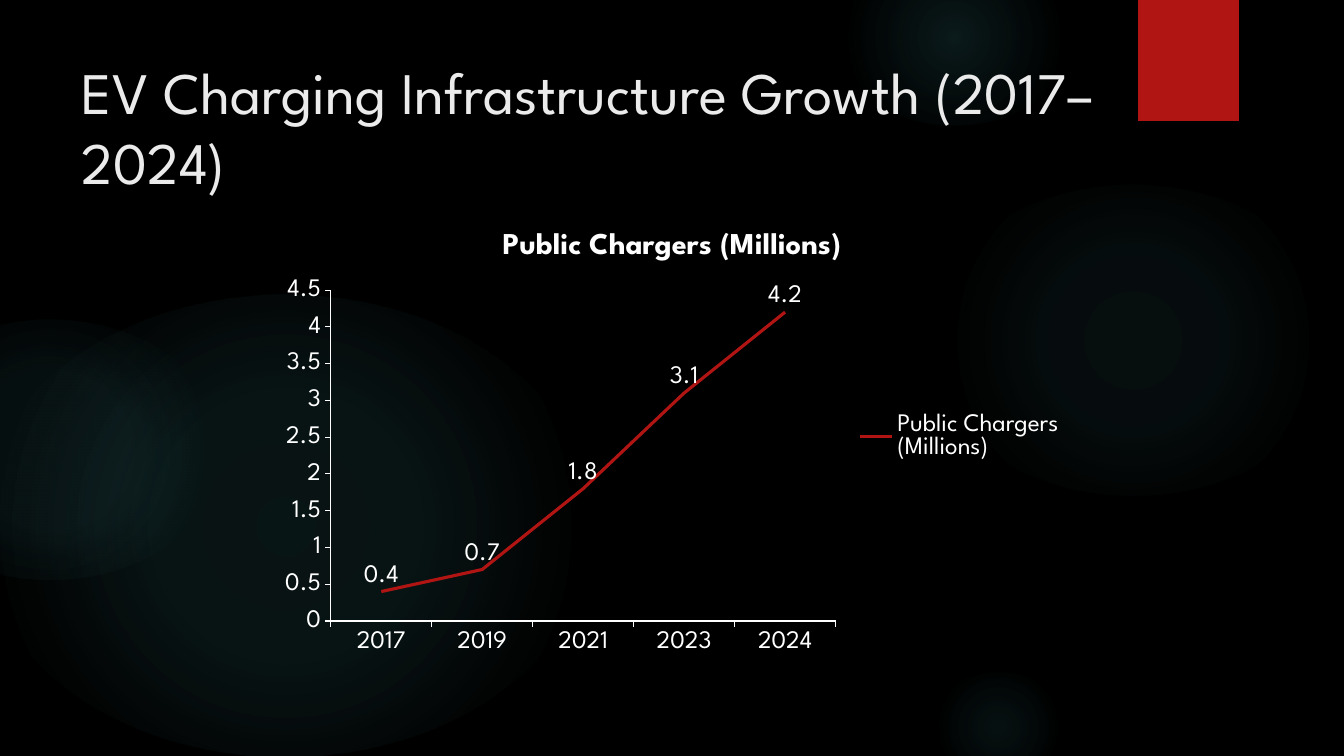
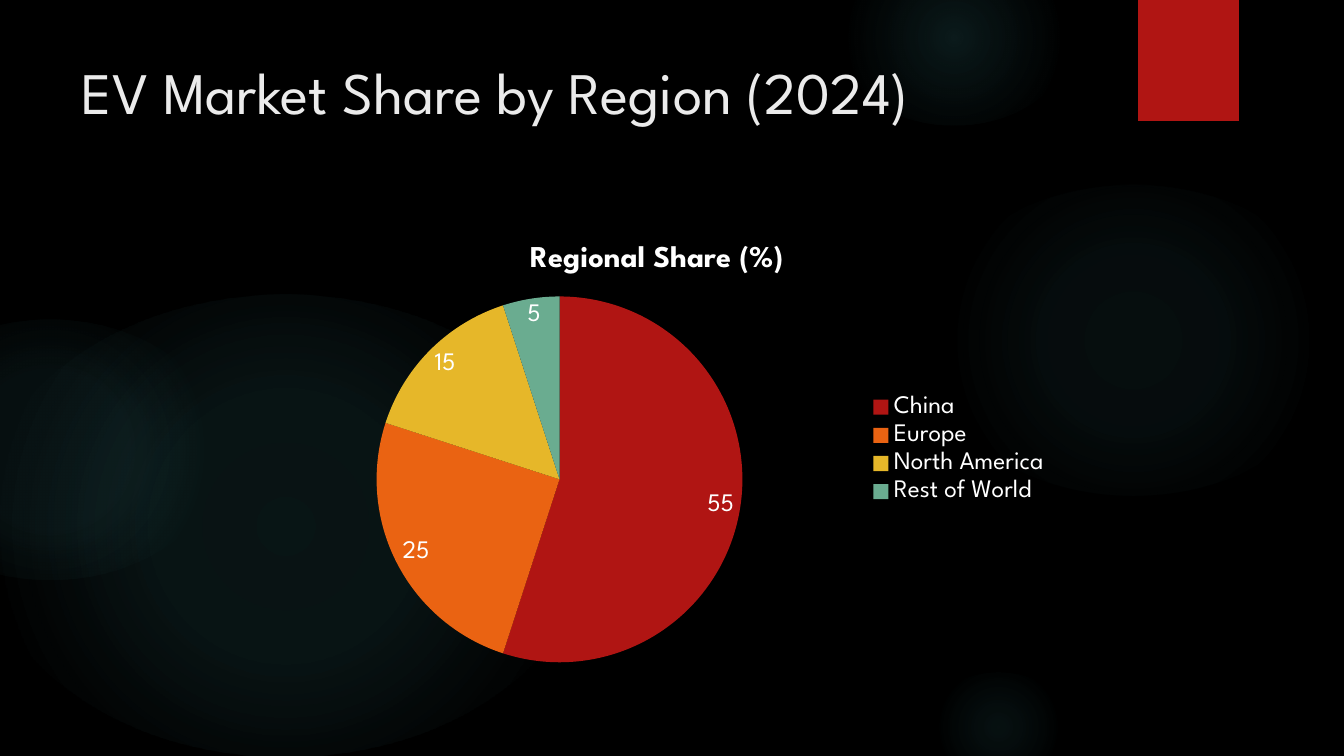
import dataclasses

import pptx
import pptx.chart.data
import pptx.dml.color
import pptx.enum.chart
import pptx.enum.shapes
import pptx.enum.text
import pptx.oxml
import pptx.oxml.ns
import pptx.util
from pptx.util import Cm, Pt


@dataclasses.dataclass(frozen=True)
class Theme:
    font: str = "League Spartan"
    background: str = "000000"
    glow: str = "50B9C1"
    title: str = "EBEBEB"
    text: str = "FFFFFF"
    accents: tuple = ("B01513", "EA6312", "E6B729", "6AAC90")
    title_size: float = 42
    chart_title_size: float = 21.6
    chart_size: float = 18
    series_width: float = 2.25
    axis_width: float = 0.75


THEME = Theme()

# Boxes are left, top, width, height in centimetres.
TITLE_BOX = (1.8, 1.27, 26.14, 3.89)
TAB_BOX = (28.68, 0, 2.54, 3.05)
CHART_SIZE = (20.32, 11.43)
GLOW_RATIO = 0.75

# Left, top, width, then (position %, opacity %) from the centre outwards.
GLOWS = [
    (23.34, 4.65, 10.44, [(0, 7), (36, 6), (69, 0)]),
    (21.08, -1.27, 5.92, [(0, 14), (36, 7), (73, 0)]),
    (23.34, 16.94, 3.66, [(0, 9), (36, 5), (66, 0)]),
    (-0.56, 7.42, 15.52, [(0, 11), (36, 10), (75, 0)]),
    (-3.1, 8.05, 8.74, [(0, 8), (36, 8), (72, 0)]),
]


def rgb(colour):
    return pptx.dml.color.RGBColor.from_string(colour)


def lengths(box):
    return [Cm(value) for value in box]


def style_font(font, size, colour, bold=False):
    font.name = THEME.font
    font.size = Pt(size)
    font.bold = bold
    font.color.rgb = rgb(colour)


def add_plain_shape(slide, kind, box):
    shape = slide.shapes.add_shape(kind, *lengths(box))
    shape.shadow.inherit = False
    shape.line.fill.background()
    return shape


def add_glow(slide, left, top, width, stops):
    """Add an ellipse whose radial gradient fades to transparent."""
    glow = add_plain_shape(slide, pptx.enum.shapes.MSO_SHAPE.OVAL,
                           (left, top, width, width * GLOW_RATIO))
    glow.fill.background()
    stop_xml = "".join(
        f'<a:gs pos="{position * 1000}"><a:srgbClr val="{THEME.glow}">'
        f'<a:alpha val="{opacity * 1000}"/></a:srgbClr></a:gs>'
        for position, opacity in stops)
    gradient = pptx.oxml.parse_xml(
        f'<a:gradFill {pptx.oxml.ns.nsdecls("a")} rotWithShape="1">'
        f'<a:gsLst>{stop_xml}</a:gsLst><a:path path="circle">'
        '<a:fillToRect l="50000" t="50000" r="50000" b="50000"/>'
        '</a:path></a:gradFill>')
    properties = glow.element.spPr
    properties.replace(properties.find(pptx.oxml.ns.qn("a:noFill")), gradient)
    return glow


def add_tab(slide):
    tab = add_plain_shape(slide, pptx.enum.shapes.MSO_SHAPE.RECTANGLE, TAB_BOX)
    tab.fill.solid()
    tab.fill.fore_color.rgb = rgb(THEME.accents[0])
    effects = tab.element.spPr.find(pptx.oxml.ns.qn("a:effectLst"))
    effects.append(pptx.oxml.parse_xml(
        f'<a:outerShdw {pptx.oxml.ns.nsdecls("a")} blurRad="{Pt(3)}" '
        f'dist="{Pt(2)}" dir="5400000" rotWithShape="0"><a:srgbClr val="000000">'
        '<a:alpha val="45000"/></a:srgbClr></a:outerShdw>'))
    return tab


def build_backdrop(layout, slide):
    """Draw the shared parts on the slide and move them into its layout."""
    layout.background.fill.solid()
    layout.background.fill.fore_color.rgb = rgb(THEME.background)
    title = layout.placeholders[0]
    title.left, title.top, title.width, title.height = lengths(TITLE_BOX)
    first_id = max(shape.shape_id for shape in layout.shapes) + 1
    parts = [add_glow(slide, *glow) for glow in GLOWS] + [add_tab(slide)]
    for part_id, part in enumerate(parts, first_id):
        part.element.nvSpPr.cNvPr.set("id", str(part_id))
        title.element.addprevious(part.element)


def set_title(slide, wording):
    title = slide.shapes.title
    title.left, title.top, title.width, title.height = lengths(TITLE_BOX)
    frame = title.text_frame
    frame.word_wrap = True
    frame.auto_size = pptx.enum.text.MSO_AUTO_SIZE.NONE
    frame.vertical_anchor = pptx.enum.text.MSO_ANCHOR.TOP
    paragraph = frame.paragraphs[0]
    paragraph.alignment = pptx.enum.text.PP_ALIGN.LEFT
    run = paragraph.add_run()
    run.text = wording
    style_font(run.font, THEME.title_size, THEME.title)


def add_titled_chart(slide, kind, corner, name, shares, label_position):
    """Add a one-series chart with title, right legend and value labels."""
    data = pptx.chart.data.CategoryChartData()
    data.categories = list(shares)
    data.add_series(name, list(shares.values()))
    chart = slide.shapes.add_chart(
        kind, *lengths(corner + CHART_SIZE), data).chart
    style_font(chart.font, THEME.chart_size, THEME.text)

    heading = chart.chart_title.text_frame.paragraphs[0].add_run()
    heading.text = name
    style_font(heading.font, THEME.chart_title_size, THEME.text, bold=True)
    chart.chart_title.include_in_layout = False

    chart.has_legend = True
    chart.legend.position = pptx.enum.chart.XL_LEGEND_POSITION.RIGHT
    chart.legend.include_in_layout = False

    plot = chart.plots[0]
    plot.has_data_labels = True
    plot.data_labels.show_value = True
    plot.data_labels.position = label_position
    style_font(plot.data_labels.font, THEME.chart_size, THEME.text)
    return chart


def add_growth_chart(slide, corner, name, chargers):
    chart = add_titled_chart(
        slide, pptx.enum.chart.XL_CHART_TYPE.LINE, corner, name, chargers,
        pptx.enum.chart.XL_LABEL_POSITION.ABOVE)
    chart.plots[0].vary_by_categories = False
    growth = chart.plots[0].series[0]
    growth.smooth = False
    growth.marker.style = pptx.enum.chart.XL_MARKER_STYLE.NONE
    growth.format.line.width = Pt(THEME.series_width)
    growth.format.line.color.rgb = rgb(THEME.accents[0])
    for axis in (chart.category_axis, chart.value_axis):
        axis.has_major_gridlines = False
        axis.major_tick_mark = pptx.enum.chart.XL_TICK_MARK.OUTSIDE
        axis.minor_tick_mark = pptx.enum.chart.XL_TICK_MARK.NONE
        axis.format.line.width = Pt(THEME.axis_width)
        axis.format.line.color.rgb = rgb(THEME.text)
    chart.value_axis.minimum_scale = 0
    chart.value_axis.maximum_scale = 4.5
    chart.value_axis.major_unit = 0.5


def add_share_chart(slide, corner, name, shares):
    chart = add_titled_chart(
        slide, pptx.enum.chart.XL_CHART_TYPE.PIE, corner, name, shares,
        pptx.enum.chart.XL_LABEL_POSITION.BEST_FIT)
    chart.plots[0].vary_by_categories = True
    regions = chart.plots[0].series[0]
    for index, colour in enumerate(THEME.accents):
        slice_fill = regions.points[index].format.fill
        slice_fill.solid()
        slice_fill.fore_color.rgb = rgb(colour)


def main():
    deck = pptx.Presentation()
    deck.slide_width, deck.slide_height = Cm(33.87), Cm(19.05)
    layout = deck.slide_layouts.get_by_name("Title Only")

    growth_slide = deck.slides.add_slide(layout)
    build_backdrop(layout, growth_slide)
    set_title(growth_slide, "EV Charging Infrastructure Growth (2017–2024)")
    add_growth_chart(
        growth_slide, (6.78, 5.28), "Public Chargers (Millions)",
        {"2017": 0.4, "2019": 0.7, "2021": 1.8, "2023": 3.1, "2024": 4.2})

    share_slide = deck.slides.add_slide(layout)
    set_title(share_slide, "EV Market Share by Region (2024)")
    add_share_chart(
        share_slide, (6.4, 5.61), "Regional Share (%)",
        {"China": 55, "Europe": 25, "North America": 15, "Rest of World": 5})

    deck.save("out.pptx")


if __name__ == "__main__":
    main()
